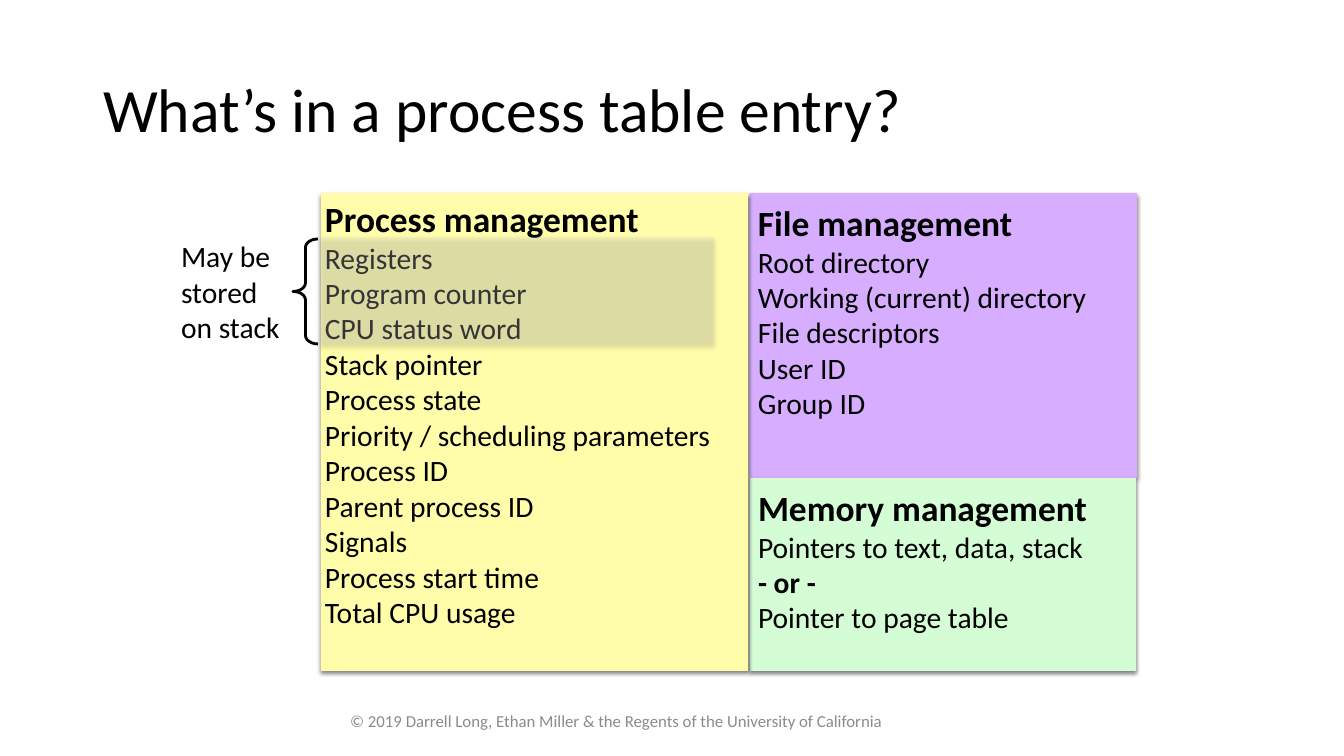
from lxml import etree
from pptx import Presentation
from pptx import util as u
from pptx.dml.color import RGBColor
from pptx.enum import shapes, text
from pptx.oxml import ns

BLACK = RGBColor(0x00, 0x00, 0x00)
GREY = RGBColor(0x8B, 0x8B, 0x8B)
SHADE = RGBColor(0xD6, 0xD6, 0xD6)
PURPLE = RGBColor(0xD7, 0xAE, 0xFF)
GREEN = RGBColor(0xD4, 0xFD, 0xD5)
YELLOW = RGBColor(0xFF, 0xFD, 0xA9)

FONT = "Calibri"
HEAD, BODY = 25.3, 21.1
MIDDLE = text.MSO_ANCHOR.MIDDLE

PROCESS = [
    "Process management", "Registers", "Program counter", "CPU status word",
    "Stack pointer", "Process state", "Priority / scheduling parameters",
    "Process ID", "Parent process ID", "Signals", "Process start time",
    "Total CPU usage",
]
FILES = [
    "File management", "Root directory", "Working (current) directory",
    "File descriptors", "User ID", "Group ID",
]
MEMORY = [
    "Memory management", "Pointers to text, data, stack", "- or -",
    "Pointer to page table",
]


def px(count):
    return u.Emu(round(count * 914400 / 100.8))


def style(para, size, color=BLACK, bold=False):
    for run in para.runs:
        run.font.name = FONT
        run.font.size = u.Pt(size)
        run.font.bold = bold
        run.font.color.rgb = color


def inset(frame, gap):
    frame.margin_left = frame.margin_right = px(gap)
    frame.margin_top = frame.margin_bottom = px(gap)


def add_shadow(shape):
    shape.shadow.inherit = False
    effects = shape._element.spPr.find(ns.qn("a:effectLst"))
    outer = etree.SubElement(
        effects, ns.qn("a:outerShdw"), blurRad=str(u.Pt(3)),
        dist=str(u.Pt(2)), dir="5400000", rotWithShape="0")
    color = etree.SubElement(outer, ns.qn("a:srgbClr"), val="000000")
    etree.SubElement(color, ns.qn("a:alpha"), val="50000")


def add_rect(slide, box, color):
    rect = slide.shapes.add_shape(
        shapes.MSO_SHAPE.RECTANGLE, *map(px, box))
    rect.fill.solid()
    rect.fill.fore_color.rgb = color
    rect.line.fill.background()
    add_shadow(rect)
    return rect


def add_panel(slide, box, color, lines, gap):
    """Add a filled box with a bold heading above plain lines."""
    frame = add_rect(slide, box, color).text_frame
    frame.word_wrap = True
    frame.vertical_anchor = text.MSO_ANCHOR.TOP
    inset(frame, gap)
    frame.text = "\n".join(lines)
    for row, para in enumerate(frame.paragraphs):
        para.alignment = text.PP_ALIGN.LEFT
        bold = row == 0 or para.text == "- or -"
        style(para, BODY if row else HEAD, bold=bold)


def add_shade(slide, box):
    """Add the translucent band over the entries kept on the stack."""
    band = add_rect(slide, box, SHADE)
    color = band._element.spPr.find(".//" + ns.qn("a:srgbClr"))
    etree.SubElement(color, ns.qn("a:alpha"), val="25000")


def add_brace(slide, box):
    brace = slide.shapes.add_shape(
        shapes.MSO_SHAPE.LEFT_BRACE, *map(px, box))
    brace.adjustments[0] = 0.34
    brace.shadow.inherit = False
    brace.fill.background()
    brace.line.color.rgb = BLACK
    brace.line.width = u.Pt(2)


def add_label(slide, box, words, size, color, wrap=True):
    frame = slide.shapes.add_textbox(*map(px, box)).text_frame
    frame.word_wrap = wrap
    frame.vertical_anchor = MIDDLE
    para = frame.paragraphs[0]
    para.text = words
    style(para, size, color)
    return frame


def set_title(slide, box, words):
    title = slide.shapes.title
    title.left, title.top, title.width, title.height = map(px, box)
    frame = title.text_frame
    frame.text = words
    frame.word_wrap = True
    frame.vertical_anchor = MIDDLE
    para = frame.paragraphs[0]
    para.alignment = text.PP_ALIGN.LEFT
    para.line_spacing = 0.9
    style(para, 44)


def main():
    deck = Presentation()
    deck.slide_width, deck.slide_height = px(1344), px(756)
    slide = deck.slides.add_slide(deck.slide_layouts[5])

    set_title(slide, (93, 40, 1159, 146), "What’s in a process table entry?")
    add_panel(slide, (750, 193, 387, 285), PURPLE, FILES, 8)
    add_panel(slide, (750, 478, 386, 193), GREEN, MEMORY, 8)
    add_panel(slide, (321, 193, 427, 478), YELLOW, PROCESS, 4)

    add_brace(slide, (293, 239, 25, 105))
    note = add_label(slide, (177, 234, 108, 115),
                     "May be\vstored\von stack", BODY, BLACK, wrap=False)
    inset(note, 4)
    note.auto_size = text.MSO_AUTO_SIZE.SHAPE_TO_FIT_TEXT
    add_shade(slide, (321, 237, 393, 108))

    credit = add_label(
        slide, (334, 701, 565, 40),
        "© 2019 Darrell Long, Ethan Miller & the Regents of the "
        "University of California", 12, GREY)
    credit.paragraphs[0].alignment = text.PP_ALIGN.CENTER
    deck.save("out.pptx")


if __name__ == "__main__":
    main()
